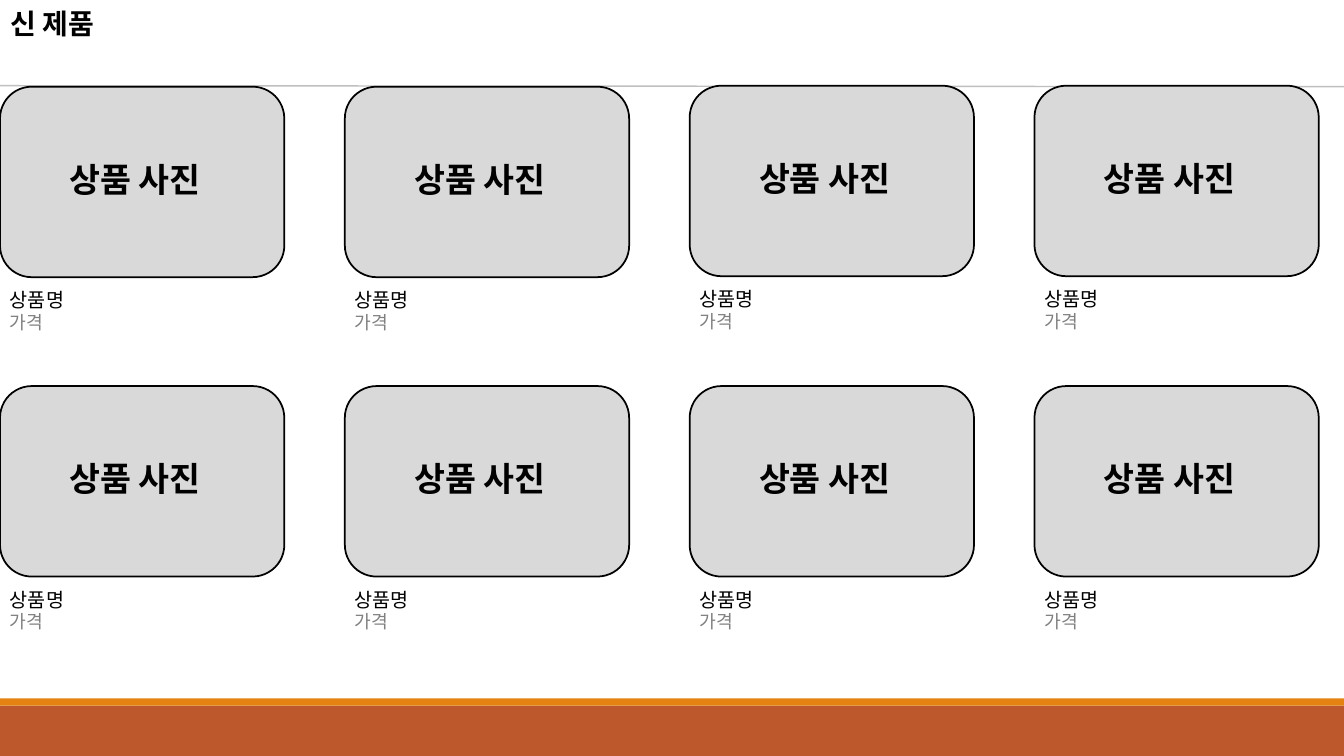
from pptx import Presentation
from pptx.dml.color import RGBColor
from pptx.enum.shapes import MSO_CONNECTOR, MSO_SHAPE
from pptx.enum.text import MSO_ANCHOR, MSO_AUTO_SIZE, PP_ALIGN
from pptx.oxml.ns import qn
from pptx.util import Inches, Pt
from lxml import etree

RECTANGLE, ROUNDED = MSO_SHAPE.RECTANGLE, MSO_SHAPE.ROUNDED_RECTANGLE
STRAIGHT = MSO_CONNECTOR.STRAIGHT
TOP, LEFT, NO_FIT = MSO_ANCHOR.TOP, PP_ALIGN.LEFT, MSO_AUTO_SIZE.NONE

BLACK = RGBColor(0x00, 0x00, 0x00)
GRAY = RGBColor(0x80, 0x80, 0x80)
RULE_GRAY = RGBColor(0xBF, 0xBF, 0xBF)
PHOTO_GRAY = RGBColor(0xD9, 0xD9, 0xD9)
ORANGE = RGBColor(0xE4, 0x83, 0x12)
RUST = RGBColor(0xBD, 0x58, 0x2C)

FONT = "Calibri"
SLIDE_W, SLIDE_H = 13.33, 7.5
COLUMN_STEP = 3.42
CARD_W, PHOTO_H = 2.82, 1.89
# The two right-hand cards of the upper row sit slightly higher
ROW_TOPS = ((0.86, 0.86, 0.85, 0.85), (3.83, 3.83, 3.83, 3.83))


def inches(*lengths):
    return [Inches(length) for length in lengths]


def write(box, text, size, color=BLACK, bold=False):
    frame = box.text_frame
    frame.word_wrap = True
    frame.auto_size = NO_FIT
    frame.vertical_anchor = TOP
    para = frame.paragraphs[0]
    para.alignment = LEFT
    span = para.add_run()
    span.text = text
    span.font.name = FONT
    span.font.size = Pt(size)
    span.font.bold = bold
    span.font.color.rgb = color


def add_text(shapes, place, text, **text_format):
    write(shapes.add_textbox(*inches(*place)), text, **text_format)


def add_panel(shapes, kind, place, fill, outline=None):
    panel = shapes.add_shape(kind, *inches(*place))
    panel.shadow.inherit = False
    panel.fill.solid()
    panel.fill.fore_color.rgb = fill
    if outline is None:
        panel.line.fill.background()
    else:
        panel.line.color.rgb = outline
        panel.line.width = Pt(1.25)


def add_footer(page, top, height):
    stripe = 0.07
    add_panel(page.shapes, RECTANGLE, (0, top + stripe, SLIDE_W, height - stripe), RUST)
    add_panel(page.shapes, RECTANGLE, (0, top, SLIDE_W, stripe), ORANGE)


def add_header(page, left, top, width, height):
    title = page.shapes.title
    title.left, title.top, title.width, title.height = inches(left, top, width, height)
    write(title, "신 제품", size=20, bold=True)
    # Rule under the title
    rule = page.shapes.add_connector(STRAIGHT, *inches(0, 0.85, SLIDE_W, 0.86))
    rule.line.color.rgb = RULE_GRAY
    rule.line.width = Pt(1)
    etree.SubElement(rule._element.spPr, qn("a:effectLst"))


def add_product(page, left, top):
    # Photo area with its caption, kept together as a group
    photo = page.shapes.add_group_shape().shapes
    add_panel(photo, ROUNDED, (left, top, CARD_W, PHOTO_H), PHOTO_GRAY, BLACK)
    caption_w = 1.64
    add_text(photo, (left + (CARD_W - caption_w) / 2, top + 0.665, caption_w, 0.5),
             "상품 사진", size=24, bold=True)
    # Name and price
    add_text(page.shapes, (left, top + 1.95, 1.04, 0.34), "상품명", size=14)
    add_text(page.shapes, (left, top + 2.18, 1.04, 0.32), "가격", size=13, color=GRAY)


def main():
    deck = Presentation()
    deck.slide_width, deck.slide_height = inches(SLIDE_W, SLIDE_H)
    title_only = deck.slide_layouts[5]
    page = deck.slides.add_slide(title_only)
    add_footer(page, 6.93, SLIDE_H - 6.93)
    add_header(page, 0, 0.01, 1.43, 0.44)
    for tops in ROW_TOPS:
        for column, top in enumerate(tops):
            add_product(page, column * COLUMN_STEP, top)
    deck.save("out.pptx")


if __name__ == "__main__":
    main()
